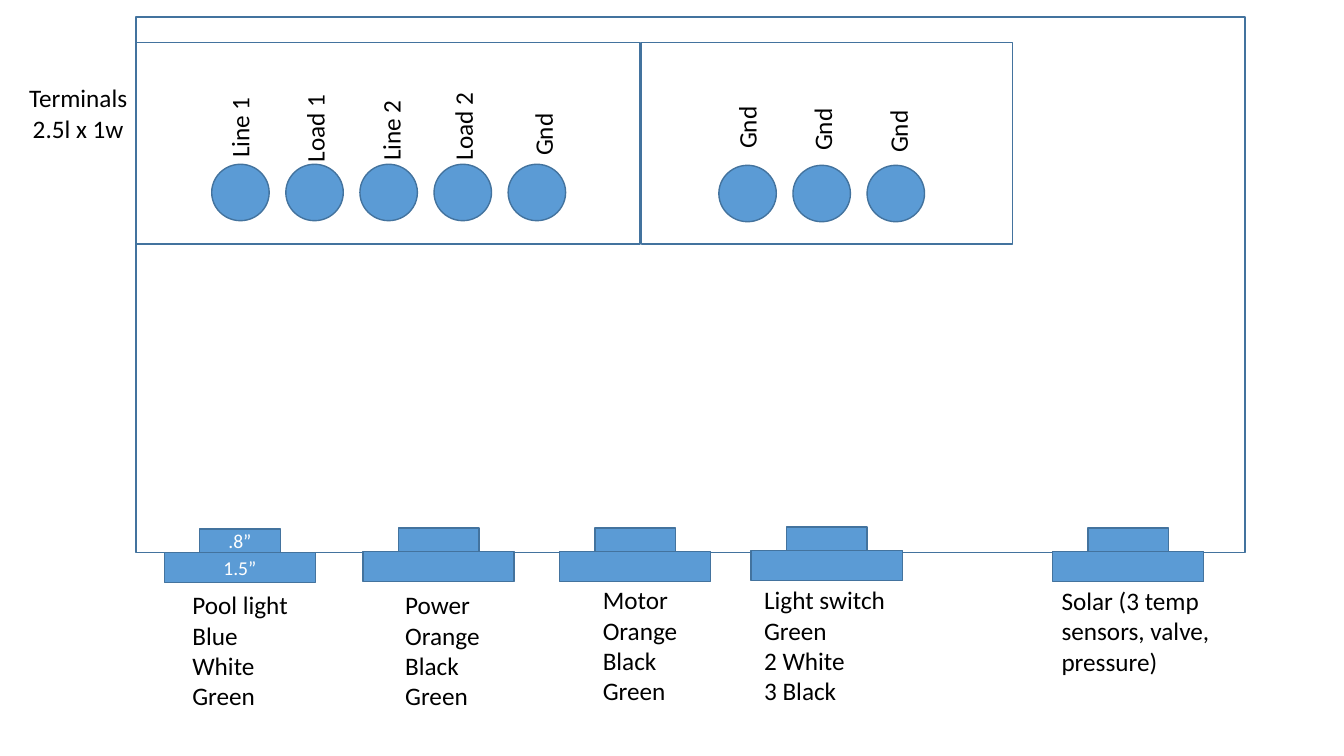
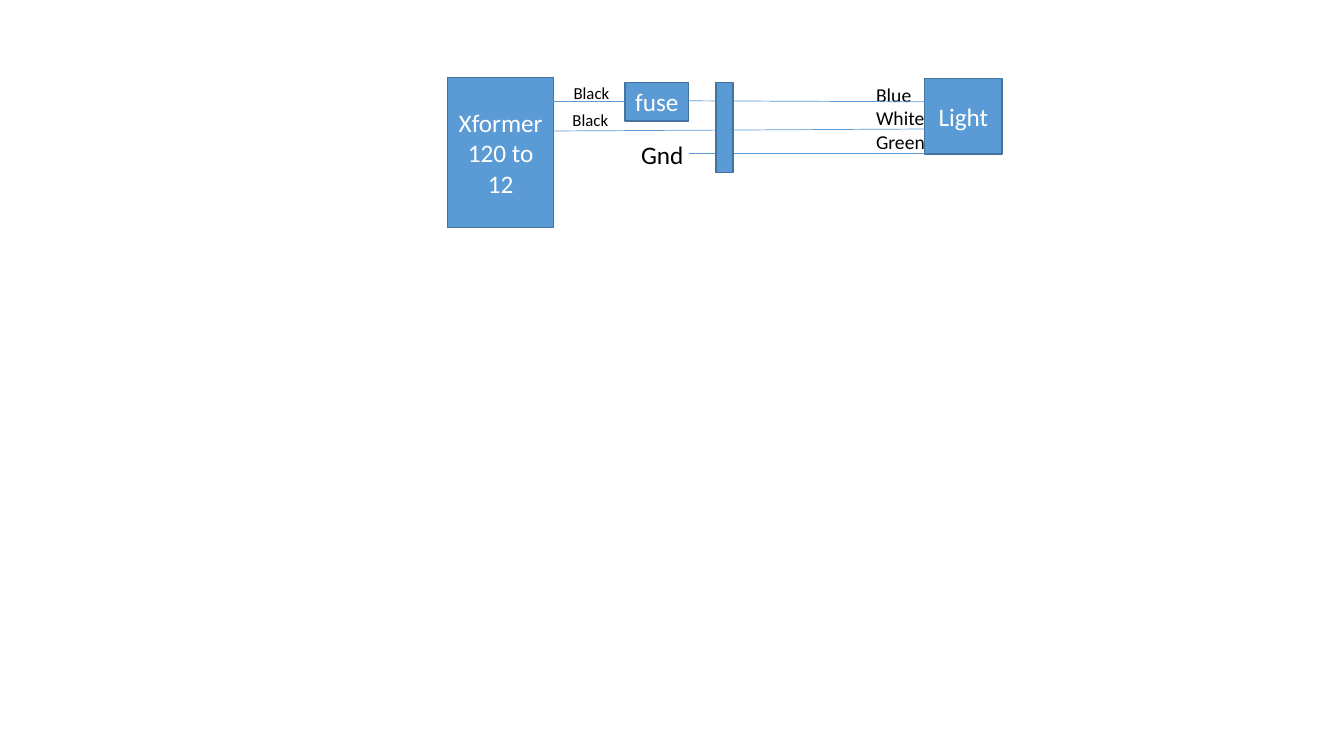
"""Build two wiring slides: the controller box layout and the pool light circuit."""
from lxml import etree
from pptx import Presentation
from pptx.dml.color import RGBColor
from pptx.enum.shapes import MSO_CONNECTOR, MSO_SHAPE
from pptx.enum.text import MSO_ANCHOR, MSO_AUTO_SIZE, PP_ALIGN
from pptx.oxml.ns import qn
from pptx.util import Inches, Pt

RECT, OVAL = MSO_SHAPE.RECTANGLE, MSO_SHAPE.OVAL
STRAIGHT = MSO_CONNECTOR.STRAIGHT
LEFT, CENTER = PP_ALIGN.LEFT, PP_ALIGN.CENTER
TOP, MIDDLE = MSO_ANCHOR.TOP, MSO_ANCHOR.MIDDLE
FIT, FIXED = MSO_AUTO_SIZE.SHAPE_TO_FIT_TEXT, MSO_AUTO_SIZE.NONE
COLORS = {"fill": "5B9BD5", "edge": "43739E", "dark": "000000", "light": "FFFFFF"}
FONT = "Calibri"


def write(shape, text, size=18, color="dark", align=LEFT, anchor=TOP, wrap=False, fit=FIT):
    frame = shape.text_frame
    frame.word_wrap = wrap
    frame.auto_size = fit
    frame.vertical_anchor = anchor
    for index, line in enumerate(text.split("\n")):
        paragraph = frame.paragraphs[0] if index == 0 else frame.add_paragraph()
        paragraph.alignment = align
        run = paragraph.add_run()
        run.text = line
        run.font.name = FONT
        run.font.size = Pt(size)
        run.font.color.rgb = RGBColor.from_string(COLORS[color])


def add_block(shapes, kind, area, text="", size=18, filled=True):
    block = shapes.add_shape(kind, *map(Inches, area))
    block.shadow.inherit = False
    if filled:
        block.fill.solid()
        block.fill.fore_color.rgb = RGBColor.from_string(COLORS["fill"])
    else:
        block.fill.background()
    block.line.color.rgb = RGBColor.from_string(COLORS["edge"])
    block.line.width = Pt(1)
    if text:
        write(block, text, size, "light", CENTER, MIDDLE, wrap=True, fit=FIXED)


prs = Presentation()
prs.slide_width, prs.slide_height = Inches(13.33), Inches(7.5)
blank = prs.slide_layouts[6]

layout = prs.slides.add_slide(blank).shapes
enclosure = (1.35, 0.17, 11, 5.31)
line_bank = (1.35, 0.42, 5, 2)
ground_bank = (6.36, 0.42, 3.68, 2)
for outline in (enclosure, line_bank, ground_bank):
    add_block(layout, RECT, outline, filled=False)

terminal_pitch = 0.735
for first_left, top, count in ((2.1, 1.63, 5), (7.13, 1.64, 3)):
    for index in range(count):
        add_block(layout, OVAL, (first_left + index * terminal_pitch, top, 0.57, 0.56))

terminal_labels = [
    ("Line 1", 1.97, 1.06, 0.81), ("Load 1", 2.68, 1.07, 0.88),
    ("Line 2", 3.47, 1.09, 0.81), ("Load 2", 4.15, 1.05, 0.88),
    ("Gnd", 5.07, 1.13, 0.63), ("Gnd", 7.09, 1.06, 0.63),
    ("Gnd", 7.84, 1.08, 0.63), ("Gnd", 8.59, 1.1, 0.63),
]
for name, left, top, width in terminal_labels:
    label = layout.add_textbox(Inches(left), Inches(top), Inches(width), Inches(0.4))
    label.rotation = 270
    write(label, name)

terminals_note = layout.add_textbox(Inches(0.18), Inches(0.77), Inches(1.19), Inches(0.71))
write(terminals_note, "Terminals\n2.5l x 1w", align=CENTER)

fittings = [
    (1.63, 5.48, "1.5”", ".8”"), (3.6, 5.47, "", ""), (5.55, 5.47, "", ""),
    (7.45, 5.46, "", ""), (10.44, 5.47, "", ""),
]
for left, top, flange_size, neck_size in fittings:
    fitting = layout.add_group_shape().shapes
    add_block(fitting, RECT, (left, top, 1.5, 0.3), flange_size, 14)
    add_block(fitting, RECT, (left + 0.35, top - 0.23, 0.8, 0.23), neck_size, 14)

cables = [
    ("Pool light\nBlue\nWhite\nGreen", 1.81, 5.8, 1.16, 1.31, False),
    ("Power\nOrange\nBlack\nGreen", 3.92, 5.8, 0.95, 1.31, False),
    ("Motor\nOrange\nBlack\nGreen", 5.88, 5.75, 0.95, 1.31, False),
    ("Light switch\nGreen\n2 White\n3 Black", 7.48, 5.75, 1.42, 1.31, False),
    ("Solar (3 temp sensors, valve, pressure)", 10.43, 5.76, 1.71, 1.01, True),
]
for wires, left, top, width, height, wrap in cables:
    cable = layout.add_textbox(Inches(left), Inches(top), Inches(width), Inches(height))
    write(cable, wires, wrap=wrap)

circuit = prs.slides.add_slide(blank).shapes
add_block(circuit, RECT, (9.17, 0.78, 0.77, 0.75), "Light")
add_block(circuit, RECT, (6.2, 0.82, 0.63, 0.38), "fuse")
add_block(circuit, RECT, (4.44, 0.77, 1.05, 1.49), "Xformer\n120 to\n12")

wire_labels = [
    ("Blue\nWhite\nGreen", 8.59, 0.77, 0.69, 0.81, 14),
    ("Black", 5.59, 0.77, 0.56, 0.3, 12),
    ("Black", 5.58, 1.04, 0.56, 0.3, 12),
    ("Gnd", 6.26, 1.33, 0.63, 0.4, 18),
]
for name, left, top, width, height, size in wire_labels:
    label = circuit.add_textbox(Inches(left), Inches(top), Inches(width), Inches(height))
    write(label, name, size)

wire_runs = [
    (9.17, 1.01, 6.83, 1), (5.38, 1.01, 6.2, 1.01),
    (5.38, 1.3, 9.17, 1.28), (9.17, 1.52, 6.83, 1.52),
]
for ends in wire_runs:
    wire = circuit.add_connector(STRAIGHT, *map(Inches, ends))
    wire.line.color.rgb = RGBColor.from_string(COLORS["fill"])
    wire.line.width = Pt(0.5)
    etree.SubElement(wire.element.spPr, qn("a:effectLst"))

add_block(circuit, RECT, (7.1, 0.82, 0.17, 0.89))

prs.save("out.pptx")
